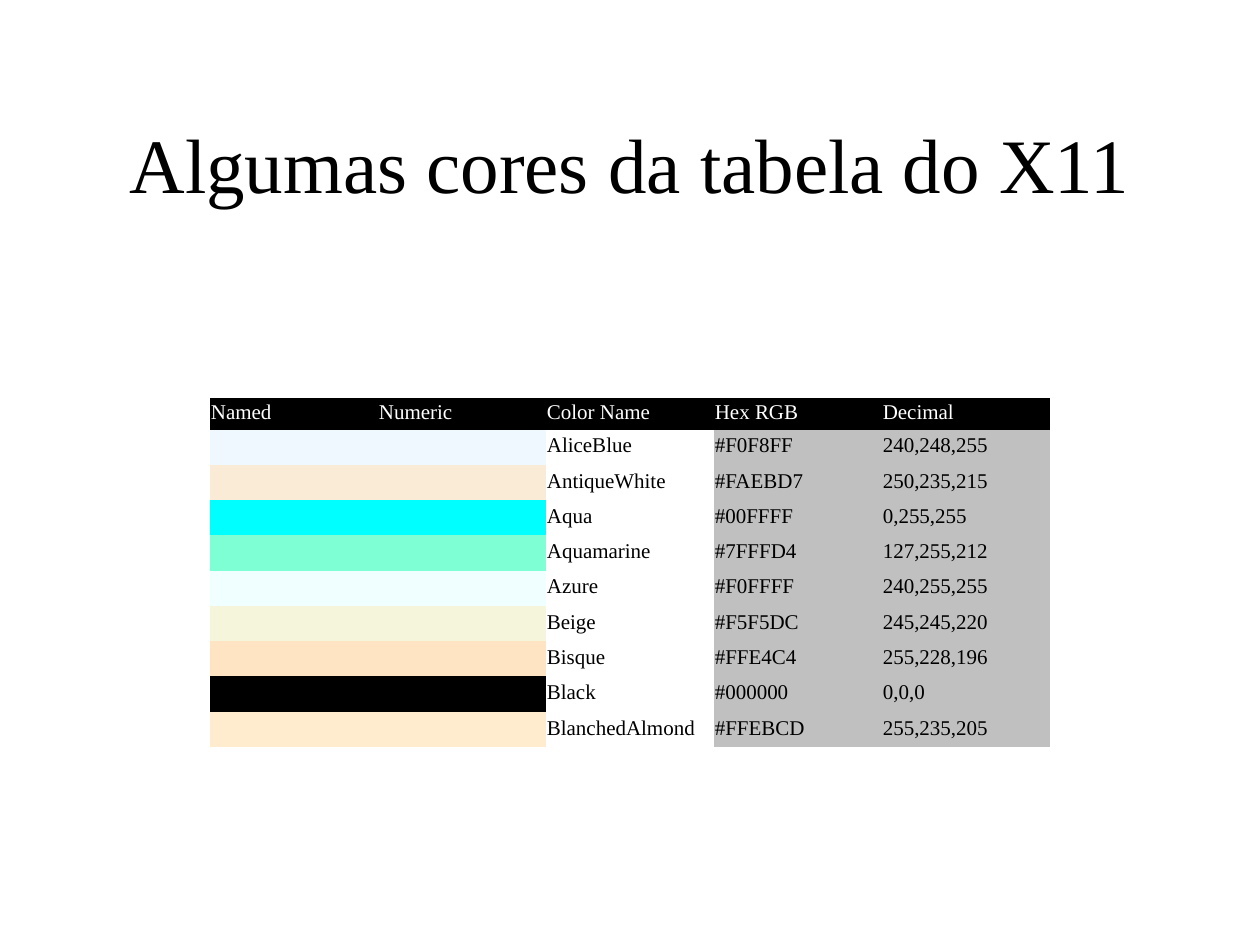
import lxml.etree
import pptx
import pptx.dml.color
import pptx.enum.text
import pptx.oxml.ns
import pptx.util

RGBColor = pptx.dml.color.RGBColor
BLACK = RGBColor(0x00, 0x00, 0x00)
WHITE = RGBColor(0xFF, 0xFF, 0xFF)
SILVER = RGBColor(0xC0, 0xC0, 0xC0)

FONT = "Times New Roman"
CELL_SIZE = 12
NO_STYLE = "{2D5ABB26-0587-4C30-8999-92F81FD0307C}"
HEADERS = ("Named", "Numeric", "Color Name", "Hex RGB", "Decimal")
X11_COLORS = (
    ("AliceBlue", RGBColor(0xF0, 0xF8, 0xFF)),
    ("AntiqueWhite", RGBColor(0xFA, 0xEB, 0xD7)),
    ("Aqua", RGBColor(0x00, 0xFF, 0xFF)),
    ("Aquamarine", RGBColor(0x7F, 0xFF, 0xD4)),
    ("Azure", RGBColor(0xF0, 0xFF, 0xFF)),
    ("Beige", RGBColor(0xF5, 0xF5, 0xDC)),
    ("Bisque", RGBColor(0xFF, 0xE4, 0xC4)),
    ("Black", BLACK),
    ("BlanchedAlmond", RGBColor(0xFF, 0xEB, 0xCD)),
)


def px(length):
    return pptx.util.Emu(round(length * 914400 / 126))


def format_font(paragraph, size, color):
    paragraph.font.name = FONT
    paragraph.font.size = pptx.util.Pt(size)
    paragraph.font.color.rgb = color


def add_title(slide, text):
    title = slide.shapes.title
    title.left, title.top, title.width, title.height = map(px, (94, 84, 1072, 158))
    title.text_frame.text = text
    title.text_frame.auto_size = pptx.enum.text.MSO_AUTO_SIZE.NONE
    title.text_frame.vertical_anchor = pptx.enum.text.MSO_ANCHOR.MIDDLE
    paragraph = title.text_frame.paragraphs[0]
    paragraph.alignment = pptx.enum.text.PP_ALIGN.CENTER
    format_font(paragraph, 44, BLACK)


def fill_cell(cell, text, color, background):
    cell.margin_left = cell.margin_right = px(1)
    cell.margin_top = cell.margin_bottom = px(6)
    cell.vertical_anchor = pptx.enum.text.MSO_ANCHOR.MIDDLE
    if background is None:
        cell.fill.background()
    else:
        cell.fill.solid()
        cell.fill.fore_color.rgb = background
    cell.text = text
    paragraph = cell.text_frame.paragraphs[0]
    paragraph.line_spacing = 0.8
    format_font(paragraph, CELL_SIZE, color)
    if not text:
        lxml.etree.SubElement(
            paragraph._p, pptx.oxml.ns.qn("a:endParaRPr"), sz=str(CELL_SIZE * 100)
        )


def fill_row(table, row, texts, color, backgrounds):
    for column, (text, background) in enumerate(zip(texts, backgrounds)):
        fill_cell(table.cell(row, column), text, color, background)


def add_color_table(slide):
    table = slide.shapes.add_table(
        len(X11_COLORS) + 1, len(HEADERS), px(210), px(398), px(840), px(316)
    ).table
    table.first_row = table.horz_banding = False
    table._tbl.tblPr.find(pptx.oxml.ns.qn("a:tableStyleId")).text = NO_STYLE
    fill_row(table, 0, HEADERS, WHITE, [BLACK] * len(HEADERS))
    for row, (name, swatch) in enumerate(X11_COLORS, start=1):
        decimal = ",".join(map(str, swatch))
        texts = ("", "", name, f"#{swatch}", decimal)
        backgrounds = (swatch, swatch, None, SILVER, SILVER)
        fill_row(table, row, texts, BLACK, backgrounds)


def main():
    presentation = pptx.Presentation()
    presentation.slide_width = px(1260)
    presentation.slide_height = px(945)
    slide = presentation.slides.add_slide(presentation.slide_layouts[5])
    add_title(slide, "Algumas cores da tabela do X11")
    add_color_table(slide)
    presentation.save("out.pptx")


if __name__ == "__main__":
    main()
